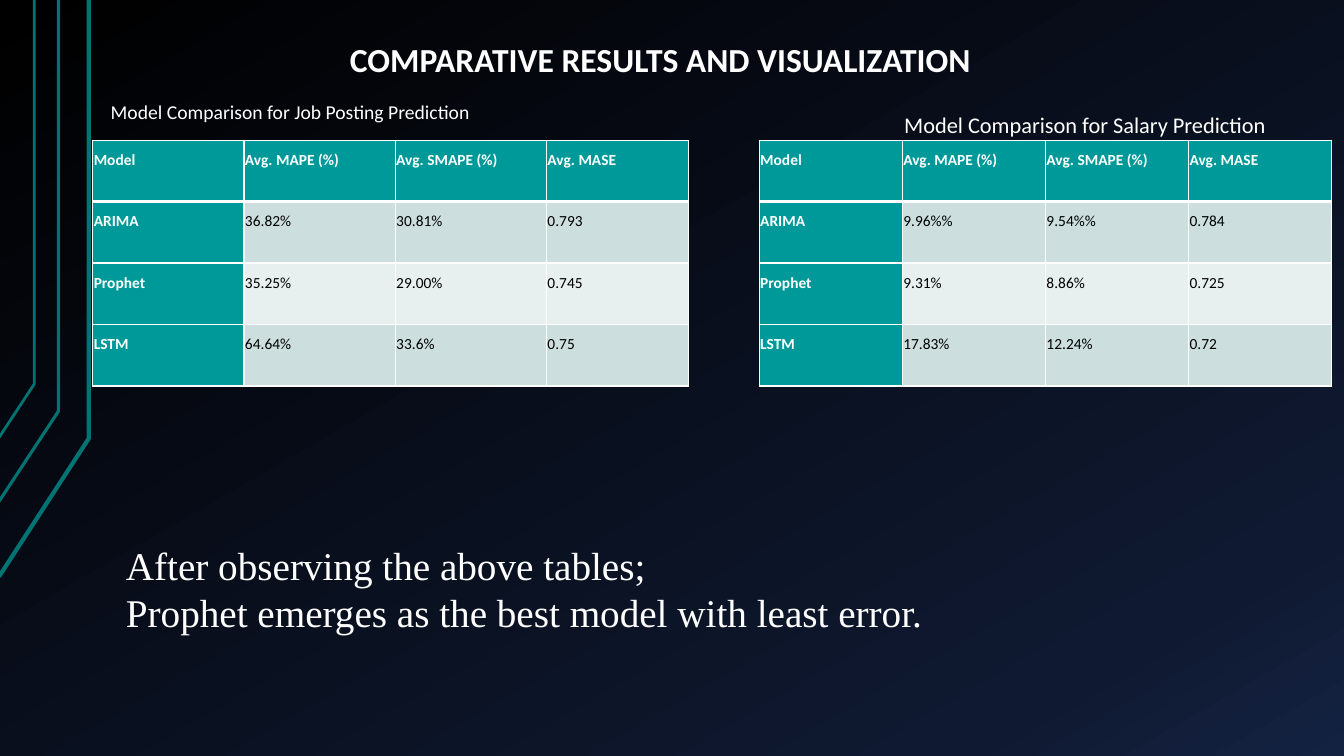
from lxml import etree
from copy import deepcopy
from pptx import Presentation
from pptx.dml.color import RGBColor
from pptx.enum import text
from pptx.oxml.ns import qn
from pptx.util import Inches, Pt

WHITE, BLACK, TEAL, DARK_TEAL = "FFFFFF", "000000", "009999", "007373"
BANDS = ["CCDEDE", "E7EFEF"]
BACKGROUND_STOPS = [(0, BLACK), (0.85, "0F1931"), (1, "142242")]
HEADER = ["Model", "Avg. MAPE (%)", "Avg. SMAPE (%)", "Avg. MASE"]
JOB_RESULTS = [
    HEADER,
    ["ARIMA", "36.82%", "30.81%", "0.793"],
    ["Prophet", "35.25%", "29.00%", "0.745"],
    ["LSTM", "64.64%", "33.6%", "0.75"],
]
SALARY_RESULTS = [
    HEADER,
    ["ARIMA", "9.96%%", "9.54%%", "0.784"],
    ["Prophet", "9.31%", "8.86%", "0.725"],
    ["LSTM", "17.83%", "12.24%", "0.72"],
]
ROW_HEIGHT = 0.61
CELL_MARGIN = 0.01


def rgb(value):
    return RGBColor.from_string(value)


def style(target, **values):
    for name, value in values.items():
        setattr(target, name, value)


def set_font(font, size, color=WHITE, bold=False, name="Calibri"):
    style(font, size=Pt(size), bold=bold, name=name)
    font.color.rgb = rgb(color)


def paint_background(page):
    fill = page.background.fill
    fill.gradient()
    fill.gradient_angle = 300
    stop_list = next(page.element.iter(qn("a:gsLst")))
    stop_list.append(deepcopy(stop_list[-1]))
    for stop, (position, color) in zip(fill.gradient_stops, BACKGROUND_STOPS):
        stop.position = position
        stop.color.rgb = rgb(color)


def add_bent_line(page, points, width):
    start, *rest = [(Inches(x), Inches(y)) for x, y in points]
    builder = page.shapes.build_freeform(*start)
    builder.add_line_segments(rest, close=False)
    shape = builder.convert_to_shape()
    shape.shadow.inherit = False
    shape.fill.background()
    shape.line.color.rgb = rgb(DARK_TEAL)
    shape.line.width = Pt(width)


def fill_box(shape, place, lines, size, wrap=False, **font):
    left, top, width, height = map(Inches, place)
    style(shape, left=left, top=top, width=width, height=height)
    frame = shape.text_frame
    frame.text = "\n".join(lines)
    style(frame, word_wrap=wrap, vertical_anchor=text.MSO_ANCHOR.TOP,
          auto_size=text.MSO_AUTO_SIZE.SHAPE_TO_FIT_TEXT)
    for para in frame.paragraphs:
        style(para, alignment=text.PP_ALIGN.LEFT, line_spacing=1.0, space_before=Pt(0))
        for span in para.runs:
            set_font(span.font, size, **font)


def add_text(page, place, lines, size, **options):
    box = page.shapes.add_textbox(*map(Inches, place))
    fill_box(box, place, lines, size, **options)


def add_borders(cell, **widths):
    properties = cell._tc.get_or_add_tcPr()
    for side in "LRTB":
        width = Pt(widths.get(side, 1))
        line = etree.SubElement(properties, qn(f"a:ln{side}"), w=str(width))
        fill = etree.SubElement(line, qn("a:solidFill"))
        etree.SubElement(fill, qn("a:srgbClr"), val=WHITE)


def add_results_table(page, left, widths, rows):
    frame = page.shapes.add_table(
        len(rows), len(widths), Inches(left), Inches(1.39),
        Inches(sum(widths)), Inches(ROW_HEIGHT * len(rows)))
    table = frame.table
    for column, width in zip(table.columns, widths):
        column.width = Inches(width)
    for r, row in enumerate(rows):
        table.rows[r].height = Inches(ROW_HEIGHT)
        for c, value in enumerate(row):
            cell = table.cell(r, c)
            heading = r == 0 or c == 0
            margin = Inches(CELL_MARGIN)
            style(cell, text=value, margin_left=margin, margin_right=margin,
                  margin_top=margin, margin_bottom=margin)
            add_borders(cell, T=3 if r == 1 else 1, B=3 if r == 0 else 1)
            cell.fill.solid()
            cell.fill.fore_color.rgb = rgb(TEAL if heading else BANDS[(r - 1) % 2])
            para = cell.text_frame.paragraphs[0]
            style(para, alignment=text.PP_ALIGN.JUSTIFY, line_spacing=1.5, space_after=Pt(10))
            set_font(para.runs[0].font, 11, WHITE if heading else BLACK, heading)


def main():
    deck = Presentation()
    style(deck, slide_width=Inches(13.33), slide_height=Inches(7.5))
    page = deck.slides.add_slide(deck.slide_layouts[5])
    paint_background(page)

    add_bent_line(page, [(-0.01, 5.72), (0.88, 4.35), (0.88, 0)], 3)
    add_bent_line(page, [(-0.02, 4.99), (0.58, 4.08), (0.58, 0)], 2.25)
    add_bent_line(page, [(-0.01, 4.34), (0.34, 3.81), (0.34, 0)], 2)

    fill_box(page.shapes.title, (3.37, 0.34, 6.42, 0.5),
             ["COMPARATIVE RESULTS AND VISUALIZATION"], 24, bold=True)
    add_results_table(page, 0.92, [1.5, 1.5, 1.5, 1.41], JOB_RESULTS)
    add_text(page, (1, 0.94, 3.8, 0.57), ["Model Comparison for Job Posting Prediction"], 14)
    add_results_table(page, 7.53, [1.42] * 4, SALARY_RESULTS)
    add_text(page, (8.87, 1.05, 3.83, 0.67), ["Model Comparison for Salary Prediction"], 16)
    add_text(page, (1.15, 5.32, 11.55, 1.04),
             ["After observing the above tables;",
              "Prophet emerges as the best model with least error."],
             28, wrap=True, name="Times New Roman")
    deck.save("out.pptx")


if __name__ == "__main__":
    main()
